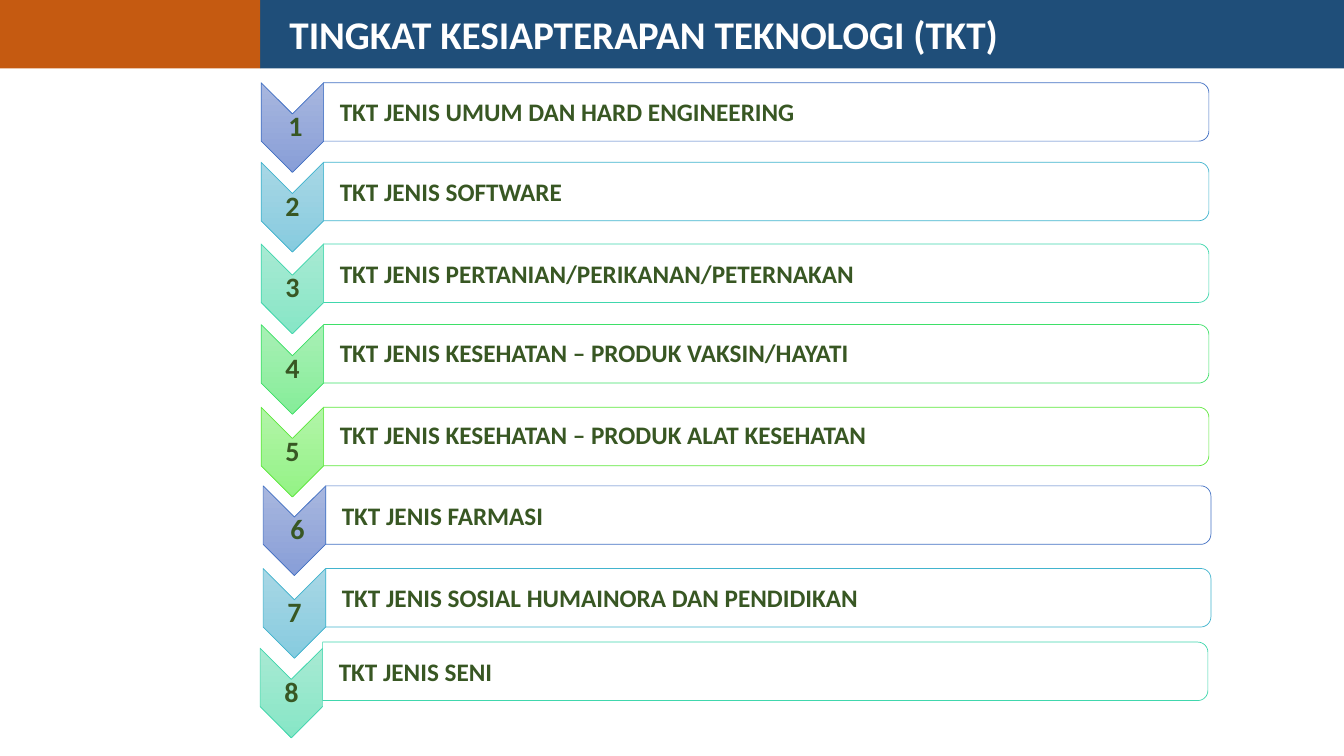
from math import cos, pi, sin

from lxml.etree import SubElement
from pptx import Presentation
from pptx.dml.color import RGBColor
from pptx.enum.shapes import MSO_SHAPE
from pptx.enum.text import MSO_ANCHOR, PP_ALIGN
from pptx.oxml.ns import qn
from pptx.util import Inches, Pt

COLORS = {
    "navy": "1F4E79",
    "orange": "C55A11",
    "white": "FFFFFF",
    "text": "385723",
}
THEMES = {
    "blue": {"top": "A8B7DF", "bottom": "889ED7", "line": "4472C4"},
    "cyan": {"top": "A8D7E5", "bottom": "87CBDF", "line": "42B4CE"},
    "mint": {"top": "A8EAD3", "bottom": "87E6C6", "line": "40D7AD"},
    "green": {"top": "A8F0B5", "bottom": "86ED99", "line": "3EE068"},
    "lime": {"top": "B2F4A8", "bottom": "94F386", "line": "5FE83E"},
}
CHEVRON_WIDTH, CHEVRON_HEIGHT, NOTCH = 0.62, 0.89, 0.31
BAR_WIDTH, BAR_HEIGHT, RADIUS = 8.78, 0.58, 0.1

LEVELS = [
    (2.59, 0.82, 0.82, "blue", " 1", "TKT JENIS UMUM DAN HARD ENGINEERING", 1),
    (2.59, 1.61, 1.61, "cyan", "2", "TKT JENIS SOFTWARE", 1),
    (2.59, 2.42, 2.42, "mint", "3", "TKT JENIS PERTANIAN/PERIKANAN/PETERNAKAN", 1),
    (2.59, 3.22, 3.22, "green", "4", "TKT JENIS KESEHATAN – PRODUK VAKSIN/HAYATI", 0.9),
    (2.59, 4.04, 4.04, "lime", "5", "TKT JENIS KESEHATAN – PRODUK ALAT KESEHATAN", 0.9),
    (2.61, 4.82, 4.82, "blue", " 6", "TKT JENIS FARMASI", 1),
    (2.61, 5.64, 5.64, "cyan", "7", "TKT JENIS SOSIAL HUMAINORA DAN PENDIDIKAN", 1),
    (2.58, 6.43, 6.37, "mint", "8", "TKT JENIS SENI", 1),
]


def rgb(value):
    return RGBColor.from_string(value)


def write_text(shape, text, size, color, insets, align=PP_ALIGN.LEFT, spacing=1.0):
    frame = shape.text_frame
    frame.word_wrap = True
    frame.vertical_anchor = MSO_ANCHOR.MIDDLE
    frame.margin_left, frame.margin_top, frame.margin_right, frame.margin_bottom = map(Inches, insets)
    para = frame.paragraphs[0]
    para.alignment = align
    para.line_spacing = float(spacing)
    span = para.add_run()
    span.text = text
    span.font.name = "Calibri"
    span.font.size = Pt(size)
    span.font.bold = True
    span.font.color.rgb = rgb(COLORS[color])


def add_outline(page, points, line):
    corners = [(Inches(x), Inches(y)) for x, y in points]
    builder = page.shapes.build_freeform(*corners[0], scale=1.0)
    builder.add_line_segments(corners[1:], close=True)
    shape = builder.convert_to_shape()
    shape.shadow.inherit = False
    shape.line.color.rgb = rgb(line)
    shape.line.width = Pt(0.5)
    return shape


def add_block(page, left, top, width, height, color):
    block = page.shapes.add_shape(
        MSO_SHAPE.RECTANGLE, Inches(left), Inches(top), Inches(width), Inches(height)
    )
    block.shadow.inherit = False
    block.fill.solid()
    block.fill.fore_color.rgb = rgb(COLORS[color])
    block.line.fill.background()
    return block


def add_header(page, left, top, width, height):
    accent_width = 2.58
    banner = add_block(page, left + accent_width, top, width - accent_width, height, "navy")
    write_text(banner, "TINGKAT KESIAPTERAPAN TEKNOLOGI (TKT)", 28, "white", (0.29, 0.05, 0.1, 0.05))
    add_block(page, left, top, accent_width, height, "orange")


def add_chevron(page, left, top, theme, number):
    right, middle = left + CHEVRON_WIDTH, left + CHEVRON_WIDTH / 2
    bottom = top + CHEVRON_HEIGHT
    points = [
        (right, top), (right, bottom - NOTCH), (middle, bottom),
        (left, bottom - NOTCH), (left, top), (middle, top + NOTCH),
    ]
    chevron = add_outline(page, points, theme["line"])
    chevron.fill.gradient()
    chevron.fill.gradient_angle = 270
    for stop, key in zip(chevron.fill.gradient_stops, ("top", "bottom")):
        stop.color.rgb = rgb(theme[key])
    write_text(chevron, number, 20, "text", (0.01, 0.33, 0.01, 0.33), PP_ALIGN.CENTER, 0.9)


def add_bar(page, left, top, theme, label, spacing):
    right, bottom = left + BAR_WIDTH, top + BAR_HEIGHT
    points = [(left, bottom), (left, top)]
    for center_y, start in ((top + RADIUS, -pi / 2), (bottom - RADIUS, 0)):
        for step in range(9):
            angle = start + step * pi / 16
            points.append((right - RADIUS + RADIUS * cos(angle), center_y + RADIUS * sin(angle)))
    bar = add_outline(page, points, theme["line"])
    bar.fill.solid()
    bar.fill.fore_color.rgb = rgb(COLORS["white"])
    tint = bar.element.spPr.find(qn("a:solidFill")).find(qn("a:srgbClr"))
    SubElement(tint, qn("a:alpha")).set("val", "90000")
    write_text(bar, label, 18, "text", (0.16, 0.04, 0.04, 0.04), spacing=spacing)


def add_levels(page):
    for left, chevron_top, bar_top, theme, number, label, spacing in LEVELS:
        add_chevron(page, left, chevron_top, THEMES[theme], number)
        add_bar(page, left + CHEVRON_WIDTH, bar_top, THEMES[theme], label, spacing)


def main():
    deck = Presentation()
    deck.slide_width, deck.slide_height = Inches(13.33), Inches(7.5)
    page = deck.slides.add_slide(deck.slide_layouts[6])
    add_header(page, 0, 0, 13.33, 0.68)
    add_levels(page)
    deck.save("out.pptx")


if __name__ == "__main__":
    main()
